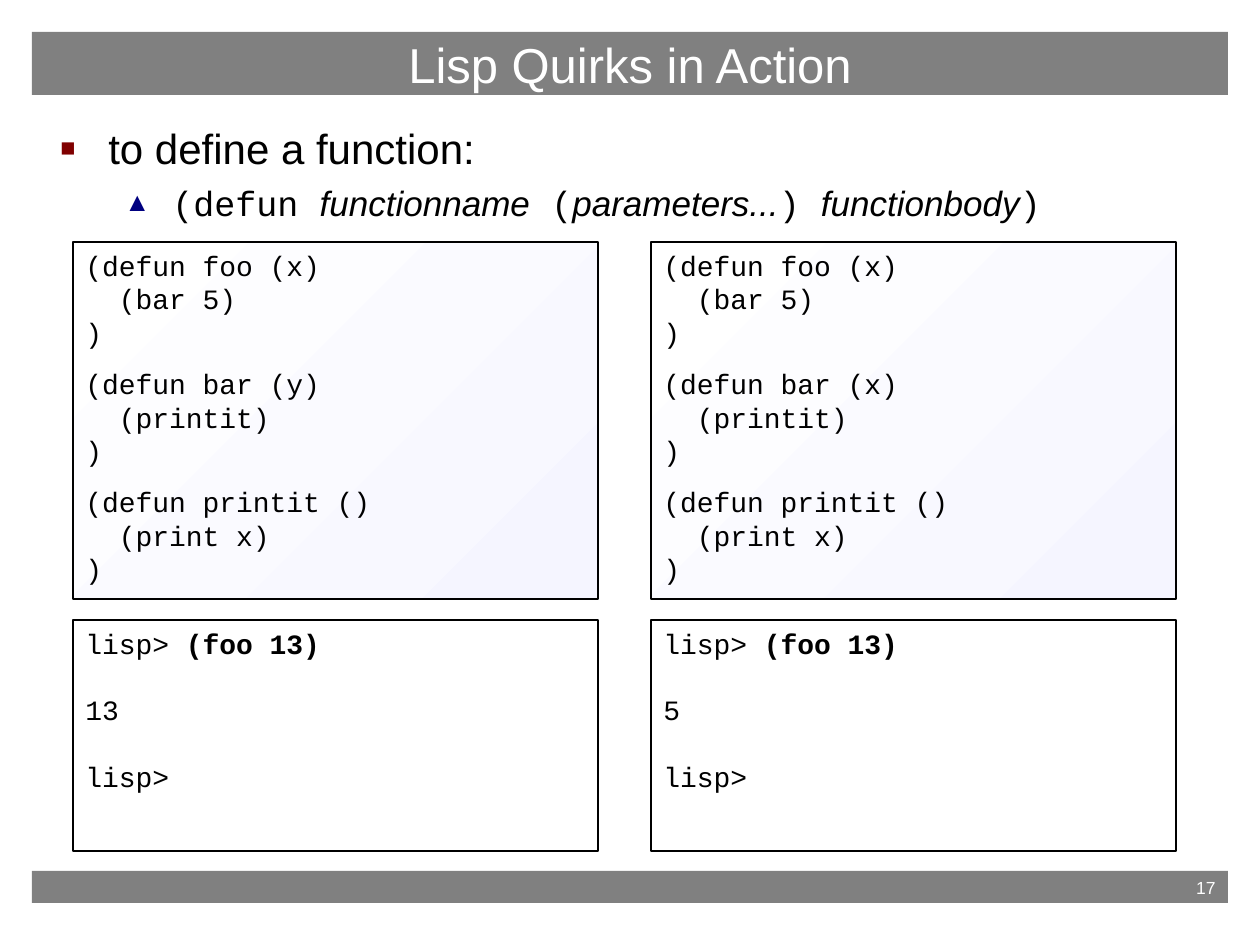
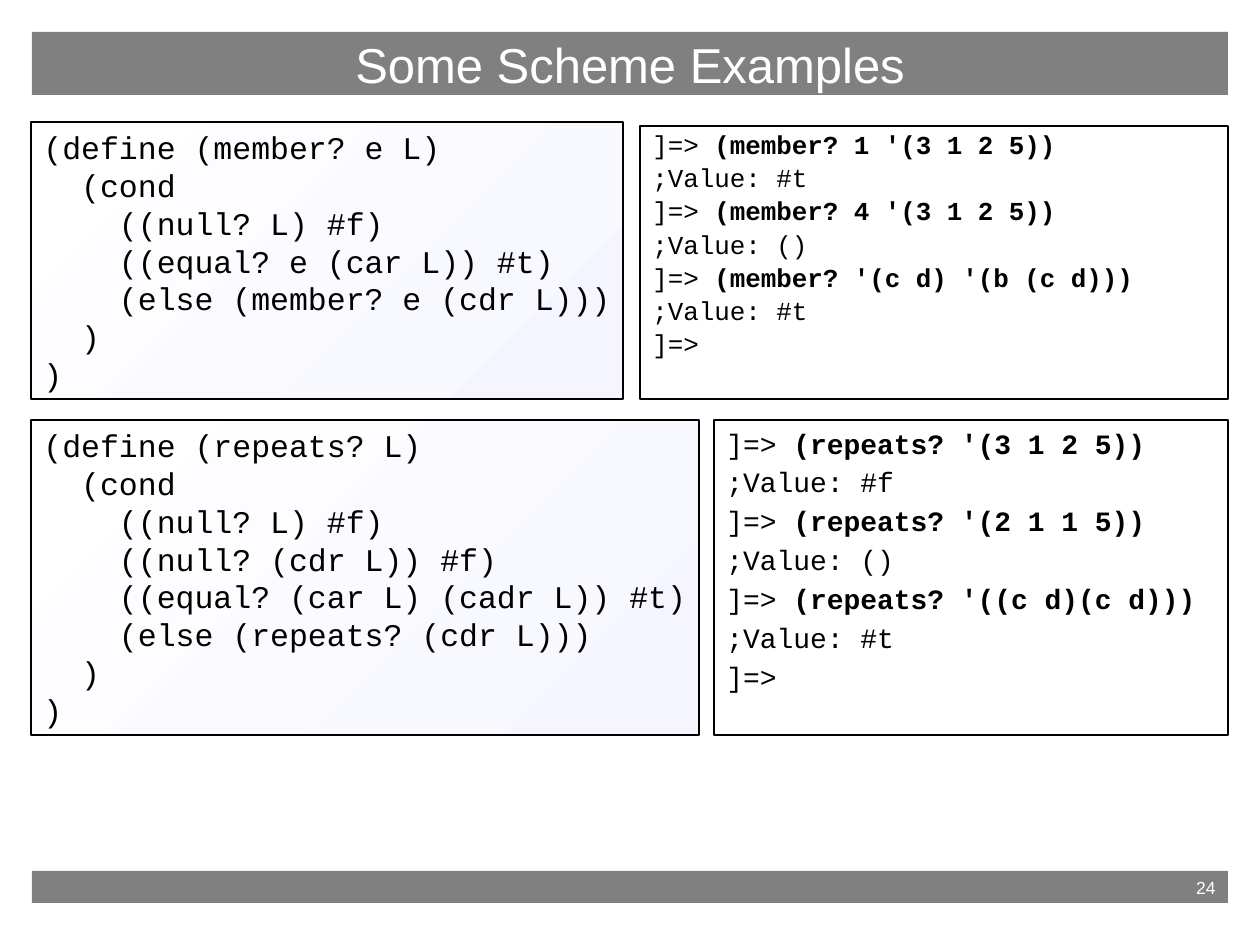
from pptx import Presentation
from pptx.dml.color import RGBColor
from pptx.enum.shapes import MSO_SHAPE
from pptx.enum.text import MSO_ANCHOR, PP_ALIGN
from pptx.oxml.ns import qn
from pptx.util import Pt
from lxml import etree

RECT = MSO_SHAPE.RECTANGLE
TOP, MIDDLE = MSO_ANCHOR.TOP, MSO_ANCHOR.MIDDLE
LEFT, CENTER, RIGHT = PP_ALIGN.LEFT, PP_ALIGN.CENTER, PP_ALIGN.RIGHT
SCALE = 914400 / 126
COLORS = {"band": "808080", "white": "FFFFFF", "black": "000000",
          "tint": "F5F5FF", "red": "800000", "navy": "000080"}
SANS, MONO = "Arial", "Courier New"

DEFUNS = """(defun foo (x)
  (bar 5)
)
(defun bar ({0})
  (printit)
)
(defun printit ()
  (print x)
)"""
CALL = """lisp> (foo 13)
{0}
lisp>"""
MEMBER = """(define (member? e L)
  (cond
    ((null? L) #f)
    ((equal? e (car L)) #t)
    (else (member? e (cdr L)))
  )
)"""
MEMBER_LOG = """]=> (member? 1 '(3 1 2 5))
;Value: #t
]=> (member? 4 '(3 1 2 5))
;Value: ()
]=> (member? '(c d) '(b (c d)))
;Value: #t
]=>"""
REPEATS = """(define (repeats? L)
  (cond
    ((null? L) #f)
    ((null? (cdr L)) #f)
    ((equal? (car L) (cadr L)) #t)
    (else (repeats? (cdr L)))
  )
)"""
REPEATS_LOG = """]=> (repeats? '(3 1 2 5))
;Value: #f
]=> (repeats? '(2 1 1 5))
;Value: ()
]=> (repeats? '((c d)(c d)))
;Value: #t
]=>"""


def px(size):
    """Turn px into EMU."""
    return round(size * SCALE)


def rgb(name):
    """Look up a colour by name."""
    return RGBColor.from_string(COLORS[name])


def style(item, **values):
    """Set each format value on an item."""
    for name, value in values.items():
        setattr(item, name, value)


def write(para, text, size, color="black", **values):
    """Add one run of text to a paragraph."""
    run = para.add_run()
    run.text = text
    style(run.font, size=Pt(size), **values)
    run.font.color.rgb = rgb(color)


def box(slide, area, fill):
    """Draw a plain rectangle without outline."""
    shape = slide.shapes.add_shape(RECT, *map(px, area))
    shape.shadow.inherit = False
    shape.fill.solid()
    shape.fill.fore_color.rgb = rgb(fill)
    shape.line.fill.background()
    return shape


def band(slide, area, text, size, align, anchor):
    """Draw a grey band with white text."""
    frame = box(slide, area, "band").text_frame
    style(frame, word_wrap=True, vertical_anchor=anchor)
    para = frame.paragraphs[0]
    para.alignment = align
    write(para, text, size, "white", name=SANS)


def page(deck, title, number):
    """Add a slide with its title and footer bands."""
    slide = deck.slides.add_slide(deck.slide_layouts[6])
    band(slide, (32, 871, 1196, 32), number, 10, RIGHT, TOP)
    band(slide, (32, 32, 1196, 63), title, 28, CENTER, MIDDLE)
    return slide


def shade(shape):
    """Fill a shape with a tint that fades to white."""
    shape.fill.gradient()
    shape.fill.gradient_angle = 135
    for stop, name in zip(shape.fill.gradient_stops, ("tint", "white")):
        stop.color.rgb = rgb(name)


def panel(slide, area, text, size, gap=0, code=False, **values):
    """Draw a framed listing, with a gap before each new form or reply."""
    shape = box(slide, area, "white")
    if code:
        shade(shape)
    shape.line.color.rgb = rgb("black")
    shape.line.width = Pt(0.75)
    frame = shape.text_frame
    style(frame, word_wrap=False, vertical_anchor=TOP)
    for row, line in enumerate(text.split("\n")):
        para = frame.add_paragraph() if row else frame.paragraphs[0]
        style(para, alignment=LEFT, **values)
        if row and line[0] not in " )":
            para.space_before = Pt(gap)
        prompt, mark, entry = line.partition("> ")
        write(para, prompt + mark, size, name=MONO)
        if entry:
            write(para, entry, size, name=MONO, bold=True)


def bullet(para, sign, color, ratio, indent):
    """Give a paragraph a hanging coloured bullet."""
    props = para._p.get_or_add_pPr()
    props.set("marL", str(px(indent)))
    props.set("indent", str(px(-48)))
    tint = etree.SubElement(props, qn("a:buClr"))
    etree.SubElement(tint, qn("a:srgbClr"), val=COLORS[color])
    etree.SubElement(props, qn("a:buSzPct"), val=str(ratio * 1000))
    etree.SubElement(props, qn("a:buFont"), typeface=SANS)
    etree.SubElement(props, qn("a:buChar"), char=sign)


def syntax(slide):
    """Write the bullets that show how a function is defined."""
    frame = slide.shapes.add_textbox(*map(px, (33, 116, 1197, 120))).text_frame
    frame.word_wrap = True
    lead, form = frame.paragraphs[0], frame.add_paragraph()
    bullet(lead, "■", "red", 60, 63)
    write(lead, "to define a function:", 24, name=SANS)
    bullet(form, "▲", "navy", 75, 127)
    form.space_before = Pt(5)
    parts = ("(defun ", "functionname", " (", "parameters...", ") ",
             "functionbody", ")")
    for rank, part in enumerate(parts):
        slot = rank % 2 == 1
        write(form, part, 20, name=SANS if slot else MONO, italic=slot)


def quirks(deck):
    """Build the slide that compares two Lisp programs."""
    slide = page(deck, "Lisp Quirks in Action", "17")
    syntax(slide)
    for col, (param, reply) in enumerate((("y", "13"), ("x", "5"))):
        left = 73 + col * 578
        panel(slide, (left, 242, 525, 357), DEFUNS.format(param), 16, 10, True)
        panel(slide, (left, 620, 525, 231), CALL.format(reply), 16, 19)


def scheme(deck):
    """Build the slide with two Scheme functions and their logs."""
    slide = page(deck, "Some Scheme Examples", "24")
    panel(slide, (640, 126, 588, 273), MEMBER_LOG, 14.8, 3, line_spacing=0.9)
    panel(slide, (31, 122, 592, 277), MEMBER, 18, code=True)
    panel(slide, (31, 420, 668, 315), REPEATS, 18, code=True)
    panel(slide, (714, 420, 514, 315), REPEATS_LOG, 16, 3)


def main():
    """Build and save the deck."""
    deck = Presentation()
    style(deck, slide_width=px(1260), slide_height=px(945))
    quirks(deck)
    scheme(deck)
    deck.save("out.pptx")


if __name__ == "__main__":
    main()
